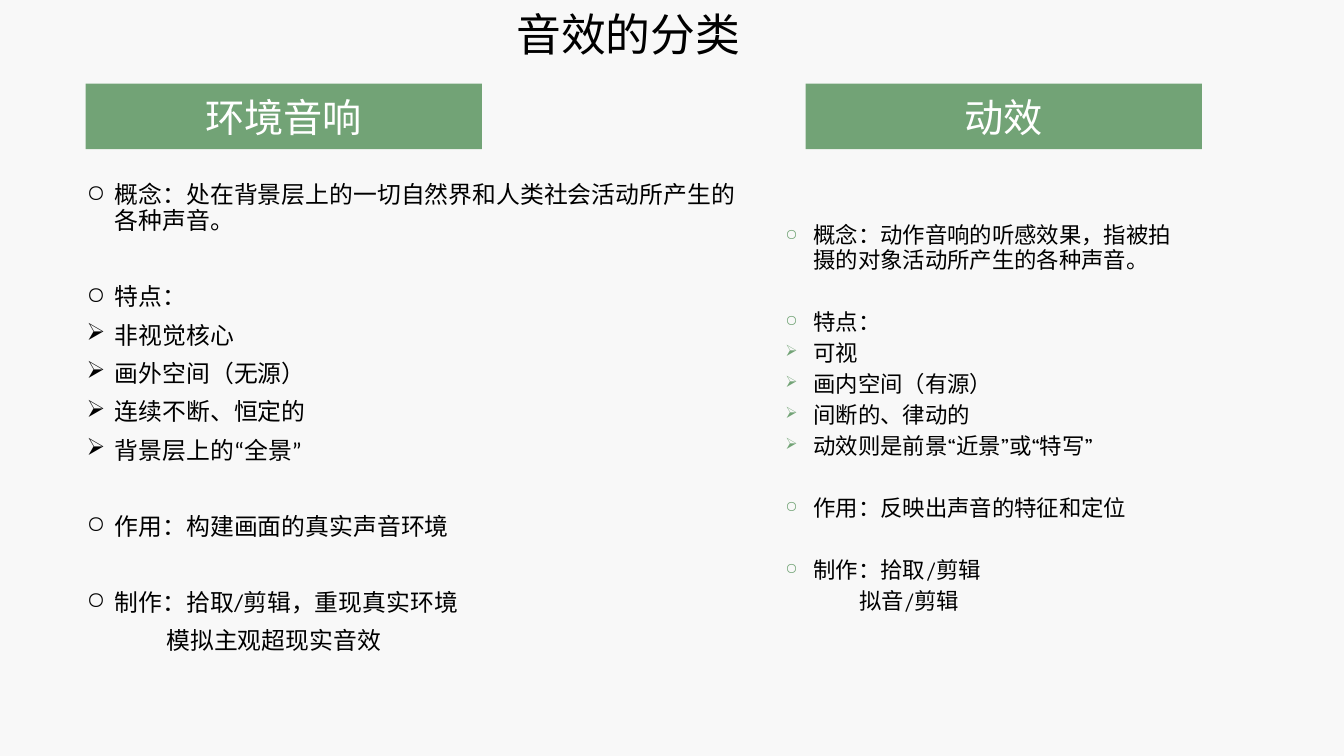
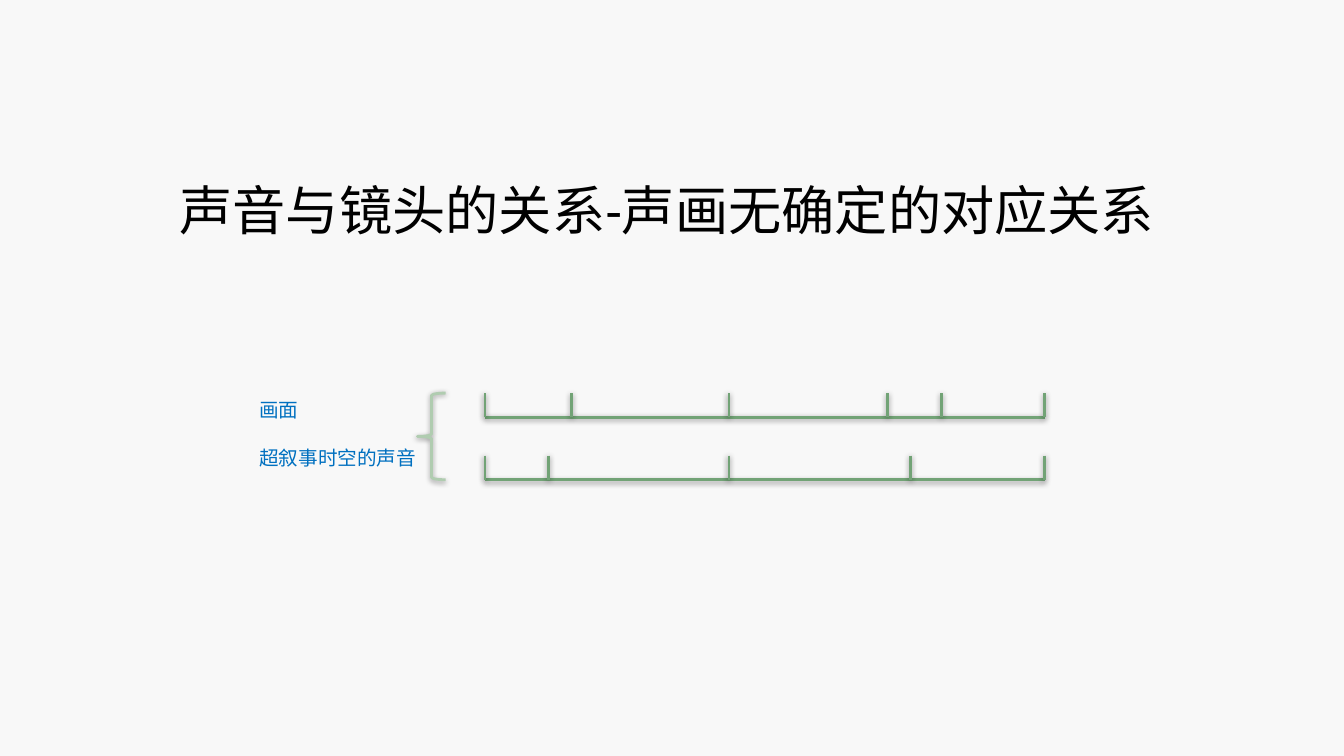
from dataclasses import dataclass
from itertools import groupby

from lxml.etree import SubElement
from pptx import Presentation
from pptx.dml.color import RGBColor
from pptx.enum.shapes import MSO_CONNECTOR as Connector, MSO_SHAPE as Preset
from pptx.enum.text import MSO_ANCHOR as Anchor, PP_ALIGN as Align
from pptx.oxml.ns import qn
from pptx.util import Emu, Pt

EMU_PER_PX = 9144  # 100 px to the inch
INSET = 5
LATIN_MARKS = "“”/-"


@dataclass(frozen=True)
class Theme:
    paper: str = "F8F8F8"
    ink: str = "000000"
    green: str = "72A376"
    pale_green: str = "B0CCB0"
    blue: str = "0070C0"
    white: str = "FFFFFF"
    cjk: str = "Noto Sans CJK SC"
    sans: str = "Calibri"
    serif: str = "Cambria"
    title: int = 32
    wide_title: int = 38
    band: int = 28
    label: int = 14
    line: int = 2


@dataclass(frozen=True)
class ListStyle:
    size: int
    latin: str
    space: int
    section_space: int  # before a paragraph that opens a new section
    continuation: int  # left margin of a line without bullet
    bullet_color: str = ""
    bullet_percent: int = 100
    hanging: int = 28


THEME = Theme()
AMBIENCE_STYLE = ListStyle(17, THEME.sans, 9, 36, 79)
ACTION_STYLE = ListStyle(16, THEME.serif, 5, 27, 73, THEME.green, 70)

# Each item: bullet, text, whether it opens a new section
AMBIENCE = [
    ("○", "概念：处在背景层上的一切自然界和人类社会活动所产生的各种声音。", False),
    ("○", "特点：", True),
    ("➢", "非视觉核心", False),
    ("➢", "画外空间（无源）", False),
    ("➢", "连续不断、恒定的", False),
    ("➢", "背景层上的“全景”", False),
    ("○", "作用：构建画面的真实声音环境", True),
    ("○", "制作：拾取/剪辑，重现真实环境", True),
    ("", "模拟主观超现实音效", False),
]
ACTION = [
    ("○", "概念：动作音响的听感效果，指被拍摄的对象活动所产生的各种声音。", False),
    ("○", "特点：", True),
    ("➢", "可视", False),
    ("➢", "画内空间（有源）", False),
    ("➢", "间断的、律动的", False),
    ("➢", "动效则是前景“近景”或“特写”", False),
    ("○", "作用：反映出声音的特征和定位", True),
    ("○", "制作：拾取/剪辑", True),
    ("", "拟音/剪辑", False),
]


def px(*lengths):
    return [Emu(length * EMU_PER_PX) for length in lengths]


def rgb(color):
    return RGBColor.from_string(color)


def write(paragraph, text, size, color, latin=THEME.sans):
    """Add text run by run, with the Latin marks in their own font."""
    for is_mark, letters in groupby(text, lambda letter: letter in LATIN_MARKS):
        run = paragraph.add_run()
        run.text = "".join(letters)
        font = run.font
        font.size, font.color.rgb = Pt(size), rgb(color)
        font.name = latin if is_mark else THEME.cjk
        SubElement(font._element, qn("a:ea"), typeface=font.name)


def set_frame(frame, anchor):
    frame.word_wrap = True
    frame.vertical_anchor = anchor
    (frame.margin_left, frame.margin_top,
     frame.margin_right, frame.margin_bottom) = px(*[INSET] * 4)
    return frame


def add_text(slide, box, anchor=Anchor.TOP):
    return set_frame(slide.shapes.add_textbox(*px(*box)).text_frame, anchor)


def add_title(slide, box, text, size):
    paragraph = add_text(slide, box, Anchor.BOTTOM).paragraphs[0]
    paragraph.line_spacing = 0.9
    write(paragraph, text, size, THEME.ink)


def add_band(slide, box, text):
    band = slide.shapes.add_shape(Preset.RECTANGLE, *px(*box))
    band.shadow.inherit = False
    band.fill.solid()
    band.fill.fore_color.rgb = rgb(THEME.green)
    band.line.fill.background()
    paragraph = set_frame(band.text_frame, Anchor.MIDDLE).paragraphs[0]
    paragraph.alignment = Align.CENTER
    write(paragraph, text, THEME.band, THEME.white)


def set_bullet(paragraph, bullet, style):
    properties = paragraph._p.get_or_add_pPr()
    margin = style.hanging if bullet else style.continuation
    indent = -style.hanging if bullet else 0
    properties.set("marL", str(margin * EMU_PER_PX))
    properties.set("indent", str(indent * EMU_PER_PX))
    if not bullet:
        SubElement(properties, qn("a:buNone"))
        return
    if style.bullet_color:
        color = SubElement(properties, qn("a:buClr"))
        SubElement(color, qn("a:srgbClr"), val=style.bullet_color)
    SubElement(properties, qn("a:buSzPct"), val=str(style.bullet_percent * 1000))
    SubElement(properties, qn("a:buChar"), char=bullet)


def add_list(slide, box, items, style):
    frame = add_text(slide, box)
    for index, (bullet, text, opens_section) in enumerate(items):
        paragraph = frame.add_paragraph() if index else frame.paragraphs[0]
        set_bullet(paragraph, bullet, style)
        paragraph.line_spacing = 0.9
        if index:
            paragraph.space_before = Pt(style.section_space if opens_section else style.space)
        write(paragraph, text, style.size, THEME.ink, style.latin)


def style_stroke(stroke, color, shadow_percent):
    """Colour a line or outline and give it a soft shadow straight below."""
    stroke.line.color.rgb = rgb(color)
    stroke.line.width = Pt(THEME.line)
    effects = SubElement(stroke._element.spPr, qn("a:effectLst"))
    shadow = SubElement(effects, qn("a:outerShdw"), blurRad=str(Pt(4)), dist=str(Pt(1)),
                        dir="5400000", rotWithShape="0")
    black = SubElement(shadow, qn("a:srgbClr"), val=THEME.ink)
    SubElement(black, qn("a:alpha"), val=str(shadow_percent * 1000))


def add_timeline(slide, box, cuts):
    """Draw a base line with a tick at both ends and at each cut."""
    left, top, width, height = box
    bottom = top + height
    strokes = [(left, bottom, left + width, bottom)]
    strokes += [(left + cut, top, left + cut, bottom) for cut in (0, *cuts, width)]
    for ends in strokes:
        stroke = slide.shapes.add_connector(Connector.STRAIGHT, *px(*ends))
        style_stroke(stroke, THEME.green, 42)


def add_brace(slide, box):
    brace = slide.shapes.add_shape(Preset.LEFT_BRACE, *px(*box))
    brace.fill.background()
    style_stroke(brace, THEME.pale_green, 40)


def add_track_diagram(slide, box):
    left, top, width, height = box
    labels = [("画面", 0), ("超叙事时空的声音", 47)]
    for text, offset in labels:
        label = add_text(slide, (left, top + offset, 185, 38))
        write(label.paragraphs[0], text, THEME.label, THEME.blue)
    add_brace(slide, (left + 162, top, 28, height))
    track_left, tick = 229, 24
    tracks = [(0, (86, 242, 399, 453)), (height - tick, (63, 242, 422))]
    for offset, cuts in tracks:
        add_timeline(slide, (left + track_left, top + offset, width - track_left, tick), cuts)


def build_categories(slide):
    add_title(slide, (507, 0, 430, 66), "音效的分类", THEME.title)
    for left, text in ((85, "环境音响"), (799, "动效")):
        add_band(slide, (left, 83, 393, 65), text)
    add_list(slide, (81, 177, 675, 533), AMBIENCE, AMBIENCE_STYLE)
    add_list(slide, (774, 218, 410, 496), ACTION, ACTION_STYLE)


def build_relation(slide):
    add_title(slide, (173, 52, 1104, 193), "声音与镜头的关系-声画无确定的对应关系", THEME.wide_title)
    add_track_diagram(slide, (252, 390, 784, 86))


def main():
    deck = Presentation()
    deck.slide_width, deck.slide_height = px(1333, 750)
    paper = deck.slide_master.background.fill
    paper.solid()
    paper.fore_color.rgb = rgb(THEME.paper)
    blank = deck.slide_layouts[6]
    for build in (build_categories, build_relation):
        build(deck.slides.add_slide(blank))
    deck.save("out.pptx")


if __name__ == "__main__":
    main()
